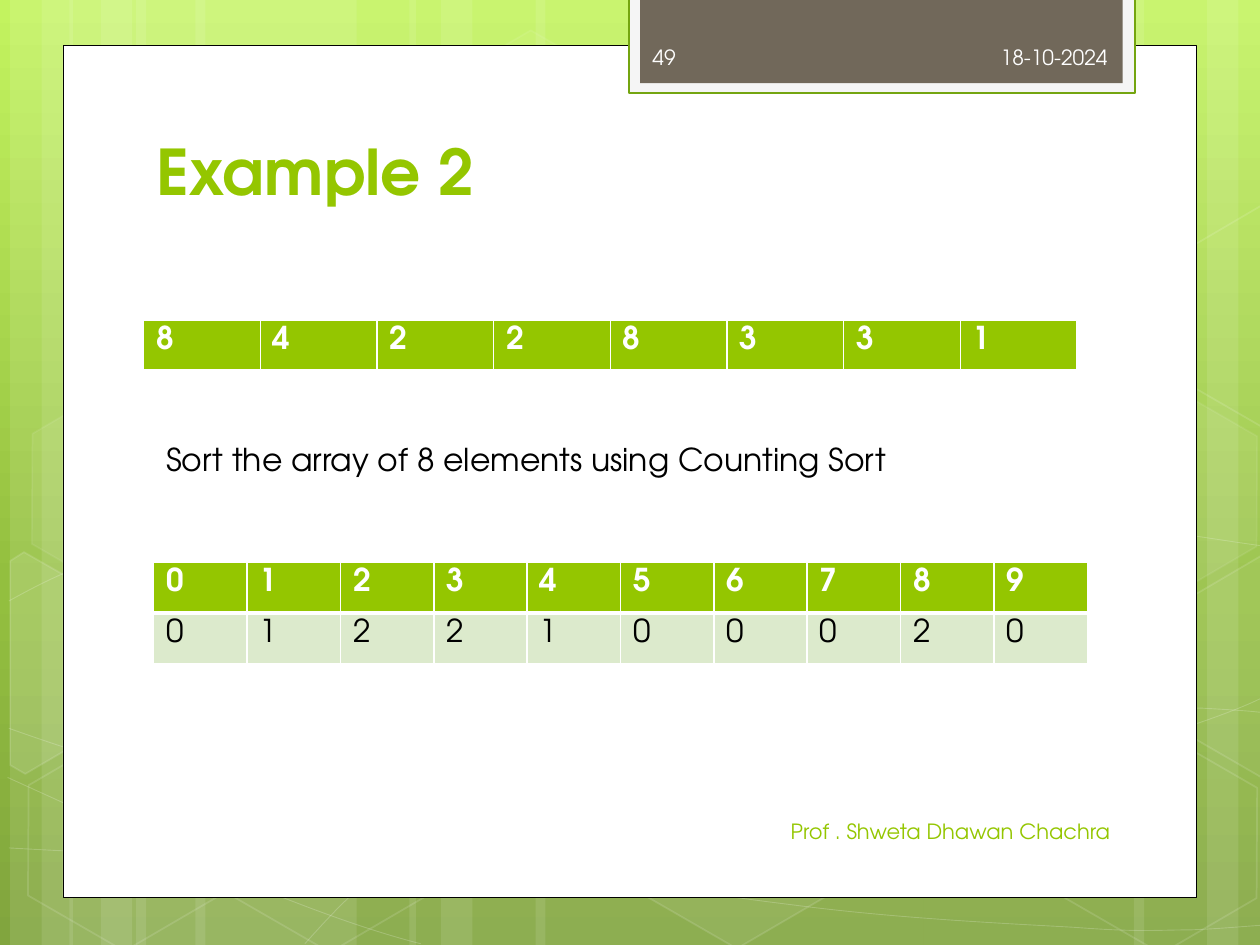
from copy import deepcopy
from dataclasses import dataclass
from math import cos, radians, sin
from typing import NamedTuple, Optional

from lxml.etree import SubElement
from pptx import Presentation
from pptx.dml.color import RGBColor
from pptx.enum.shapes import MSO_SHAPE
from pptx.enum.text import MSO_ANCHOR, MSO_AUTO_SIZE, PP_ALIGN
from pptx.oxml.ns import qn
from pptx.util import Inches, Pt


@dataclass(frozen=True)
class Theme:
    font: str = "TeX Gyre Adventor"
    green: str = "94C600"
    edge_green: str = "74A510"
    pale_green: str = "DCEACC"
    white: str = "FFFFFF"
    tab_text: str = "FEFEFE"
    black: str = "000000"
    tab_frame: str = "F5F5F5"
    tab_fill: str = "71685A"
    gradient: tuple = ((0, "C3F35F"), (0.62, "93BF3F"), (1, "81A53E"))
    title_size: int = 36
    body_size: int = 18
    small_size: int = 12


class Box(NamedTuple):
    left: float
    top: float
    width: float
    height: float

    def lengths(self):
        return [Inches(value) for value in self]


class Paint(NamedTuple):
    color: str
    alpha: int = 100
    width: float = 0


class Hexagon(NamedTuple):
    left: float
    top: float
    fill_alpha: int
    line_alpha: int


class CutHexagon(NamedTuple):
    center: tuple
    points: list
    fill_alpha: int


class Label(NamedTuple):
    text: str
    box: Box
    size: int
    color: str
    align: PP_ALIGN = PP_ALIGN.LEFT
    anchor: MSO_ANCHOR = MSO_ANCHOR.MIDDLE
    auto_size: MSO_AUTO_SIZE = MSO_AUTO_SIZE.NONE


THEME = Theme()
TILT = 30  # degrees that every hexagon is turned

# Left edge and width of the full-height stripes
STRIPES = [(1.08, 1.75), (0.08, 0.5), (0.33, 0.83), (1.55, 1.75), (0.55, 0.5), (0.8, 0.83),
           (7.33, 1.75), (9.58, 0.5), (9, 0.83), (4.25, 3.08), (3.25, 0.5), (3.5, 0.83)]

# Each wave is a start point, then control, control and end for every curve;
# two equal controls stand for a straight stretch
WAVES = [
    [(0.07, 6.73), (0.61, 6.76), (1.15, 6.79), (1.9, 6.78), (2.65, 6.77), (3.58, 6.75), (4.58, 6.65),
     (5.58, 6.55), (7, 6.36), (7.92, 6.17), (8.83, 5.98), (9.77, 5.68), (10.07, 5.51)],
    [(0.07, 4.77), (0.36, 4.61), (0.65, 4.46), (1.21, 4.31), (1.78, 4.16), (2.59, 3.94), (3.47, 3.87),
     (4.36, 3.8), (5.44, 3.79), (6.54, 3.87), (7.64, 3.95), (9.47, 4.26), (10.07, 4.34)],
    [(0.06, 6.17), (1.27, 6.72), (2.47, 7.27), (3.34, 7.49)],
    [(0.07, 5.78), (0.38, 5.89), (0.7, 6), (1.28, 6.16), (1.86, 6.31), (2.73, 6.56), (3.57, 6.73),
     (4.4, 6.9), (5.45, 7.08), (6.28, 7.18), (7.11, 7.29), (8, 7.33), (8.53, 7.36),
     (9.05, 7.4), (9.19, 7.38), (9.45, 7.38), (9.71, 7.37), (9.89, 7.35), (10.07, 7.34)],
    [(2.42, 7.49), (2.6, 7.29), (2.78, 7.09), (3.02, 6.91), (3.26, 6.73), (3.6, 6.53), (3.88, 6.39),
     (4.16, 6.25), (4.33, 6.19), (4.7, 6.09), (5.06, 5.99), (5.73, 5.85), (6.08, 5.78),
     (6.44, 5.71), (6.49, 5.71), (6.8, 5.69), (7.11, 5.66), (7.6, 5.63), (7.94, 5.62),
     (8.29, 5.61), (8.86, 5.62), (8.86, 5.62), (9.53, 5.62), (9.53, 5.62), (9.53, 5.62),
     (9.71, 5.63), (9.88, 5.64), (9.97, 5.65), (10.06, 5.66), (10.03, 5.65), (10.06, 5.66)],
]

HEXAGONS = [Hexagon(3.34, 0.36, 4, 8), Hexagon(4.97, 5.89, 6, 12), Hexagon(0.11, 5.91, 0, 12),
            Hexagon(0.14, 3.12, 7, 8), Hexagon(1.74, 5.92, 0, 12), Hexagon(7.53, 4.53, 10, 12),
            Hexagon(8.34, 5.93, 0, 12), Hexagon(8.34, 3.14, 7, 8)]

# Hexagons cut off at the slide edges, with corners as they lie after the turn
CUT_HEXAGONS = [
    CutHexagon((0.36, 5.35), [(0.08, 4.45), (0.19, 4.38), (0.96, 4.82), (0.95, 5.7),
                              (0.2, 6.14), (0.08, 6.07)], 10),
    CutHexagon((9.85, 5.2), [(9.26, 4.85), (10.01, 4.41), (10.09, 4.46), (10.09, 6.13),
                             (10.02, 6.17), (9.26, 5.73)], 4),
    CutHexagon((9.85, 2.41), [(9.26, 2.07), (10.01, 1.63), (10.1, 1.68), (10.09, 3.35),
                              (10.02, 3.39), (9.26, 2.95)], 0),
]

LABELS = [
    Label("Sort the array of 8 elements using Counting Sort", Box(1.22, 3.44, 7.24, 0.4), THEME.body_size,
          THEME.black, anchor=MSO_ANCHOR.TOP, auto_size=MSO_AUTO_SIZE.SHAPE_TO_FIT_TEXT),
    Label("18-10-2024", Box(6.56, 0.25, 2.33, 0.4), THEME.small_size, THEME.tab_text, PP_ALIGN.RIGHT),
    Label("Prof . Shweta Dhawan Chachra", Box(5.08, 6.4, 3.83, 0.4),
          THEME.small_size, THEME.green, PP_ALIGN.RIGHT),
    Label("49", Box(5.08, 0.25, 1.46, 0.4), THEME.small_size, THEME.tab_text),
]


def apply_paint(fill, paint: Optional[Paint]) -> None:
    """Fill with a colour and its opacity, or with nothing."""
    if paint is None or paint.alpha == 0:
        fill.background()
        return
    fill.solid()
    fill.fore_color.rgb = RGBColor.from_string(paint.color)
    if paint.alpha < 100:
        color = fill._xPr.find(qn("a:solidFill"))[0]
        SubElement(color, qn("a:alpha"), val=str(paint.alpha * 1000))


def style_shape(shape, fill: Optional[Paint], line: Optional[Paint] = None) -> None:
    shape.shadow.inherit = False
    apply_paint(shape.fill, fill)
    apply_paint(shape.line.fill, line)
    if line:
        shape.line.width = Pt(line.width)


def draw_box(slide, box: Box, fill: Paint, line: Optional[Paint] = None) -> None:
    style_shape(slide.shapes.add_shape(MSO_SHAPE.RECTANGLE, *box.lengths()), fill, line)


def add_outline(slide, points: list, close: bool):
    start, *others = [(Inches(x), Inches(y)) for x, y in points]
    builder = slide.shapes.build_freeform(*start)
    builder.add_line_segments(others, close=close)
    return builder.convert_to_shape()


def draw_wave(slide, points: list) -> None:
    """Join each three lines of the outline into one cubic curve."""
    shape = add_outline(slide, points, close=False)
    geometry = shape._element.find(".//" + qn("a:path"))
    lines = geometry.findall(qn("a:lnTo"))
    for first in range(0, len(lines), 3):
        straight = points[first + 1] == points[first + 2]
        segment = SubElement(geometry, qn("a:lnTo" if straight else "a:cubicBezTo"))
        for index, line in enumerate(lines[first:first + 3]):
            if index == 2 or not straight:
                segment.append(line[0])
            geometry.remove(line)
    style_shape(shape, None, Paint(THEME.white, 20, 0.5))


def draw_cut_hexagon(slide, hexagon: CutHexagon) -> None:
    """Turn the corners back around the centre, then rotate the shape."""
    center_x, center_y = hexagon.center
    cosine, sine = cos(radians(TILT)), sin(radians(TILT))
    offsets = [(x - center_x, y - center_y) for x, y in hexagon.points]
    upright = [(center_x + x * cosine + y * sine, center_y - x * sine + y * cosine) for x, y in offsets]
    shape = add_outline(slide, upright, close=True)
    shape.rotation = TILT
    style_shape(shape, Paint(THEME.white, hexagon.fill_alpha), Paint(THEME.white, 12, 1))


def write_text(frame, text: str, size: int, color: str, bold: bool = False,
               align: PP_ALIGN = PP_ALIGN.LEFT) -> None:
    paragraph = frame.paragraphs[0]
    paragraph.text = text
    paragraph.alignment = align
    font = paragraph.runs[0].font
    for name, value in {"name": THEME.font, "size": Pt(size), "bold": bold}.items():
        setattr(font, name, value)
    font.color.rgb = RGBColor.from_string(color)


def draw_label(slide, label: Label) -> None:
    frame = slide.shapes.add_textbox(*label.box.lengths()).text_frame
    formats = {"word_wrap": True, "vertical_anchor": label.anchor, "auto_size": label.auto_size}
    for name, value in formats.items():
        setattr(frame, name, value)
    write_text(frame, label.text, label.size, label.color, align=label.align)


def draw_table(slide, box: Box, rows: list) -> None:
    """A table whose first row is a green header."""
    table = slide.shapes.add_table(len(rows), len(rows[0]), *box.lengths()).table
    table.horz_banding = False
    for row_index, row in enumerate(rows):
        header = row_index == 0
        for column_index, value in enumerate(row):
            cell = table.cell(row_index, column_index)
            widths = {"a:lnL": 1, "a:lnR": 1, "a:lnT": 1 if header else 3, "a:lnB": 3 if header else 1}
            for tag, width in widths.items():
                border = SubElement(cell._tc.get_or_add_tcPr(), qn(tag), w=str(Pt(width)))
                SubElement(SubElement(border, qn("a:solidFill")), qn("a:srgbClr"), val=THEME.white)
            apply_paint(cell.fill, Paint(THEME.green if header else THEME.pale_green))
            write_text(cell.text_frame, str(value), THEME.body_size,
                       THEME.white if header else THEME.black, bold=header)


def draw_background(slide) -> None:
    fill = slide.background.fill
    fill.gradient()
    fill.gradient_angle = 270
    stops = slide._element.find(".//" + qn("a:gsLst"))
    stops.append(deepcopy(stops[-1]))
    for stop, (position, color) in zip(fill.gradient_stops, THEME.gradient):
        stop.position = position
        stop.color.rgb = RGBColor.from_string(color)

    for left, width in STRIPES:
        draw_box(slide, Box(left, 0, width, 7.5), Paint(THEME.white, 10))
    for wave in WAVES:
        draw_wave(slide, wave)
    for hexagon in HEXAGONS:
        box = Box(hexagon.left, hexagon.top, 1.75, 1.52)
        shape = slide.shapes.add_shape(MSO_SHAPE.HEXAGON, *box.lengths())
        shape.rotation = TILT
        shape.adjustments[0] = 0.285
        style_shape(shape, Paint(THEME.white, hexagon.fill_alpha), Paint(THEME.white, hexagon.line_alpha, 1))
    for hexagon in CUT_HEXAGONS:
        draw_cut_hexagon(slide, hexagon)


def draw_title(slide, text: str, box: Box) -> None:
    title = slide.shapes.title
    slide.shapes._spTree.append(title._element)  # bring in front of the panel
    for name, value in zip(("left", "top", "width", "height"), box.lengths()):
        setattr(title, name, value)
    frame = title.text_frame
    for name, value in {"auto_size": MSO_AUTO_SIZE.NONE, "vertical_anchor": MSO_ANCHOR.BOTTOM}.items():
        setattr(frame, name, value)
    write_text(frame, text, THEME.title_size, THEME.green, bold=True)


def main() -> None:
    presentation = Presentation()
    presentation.slide_width, presentation.slide_height = Inches(10), Inches(7.5)
    slide = presentation.slides.add_slide(presentation.slide_layouts[5])
    draw_background(slide)

    # White panel and the tab at its top
    draw_box(slide, Box(0.5, 0.36, 9, 6.76), Paint(THEME.white), Paint(THEME.black, width=0.5))
    draw_box(slide, Box(4.99, -0.02, 4.02, 0.76), Paint(THEME.tab_frame), Paint(THEME.edge_green, width=1.25))
    draw_box(slide, Box(5.08, -0.02, 3.83, 0.68), Paint(THEME.tab_fill))

    # Title, input array and count table
    draw_title(slide, "Example 2", Box(1.14, 1.12, 7.68, 0.58))
    numbers = [8, 4, 2, 2, 8, 3, 3, 1]
    draw_table(slide, Box(1.14, 2.54, 7.41, 0.41), [numbers])
    digits = range(10)
    counts = [numbers.count(digit) for digit in digits]
    draw_table(slide, Box(1.22, 4.46, 7.41, 0.81), [digits, counts])
    for label in LABELS:
        draw_label(slide, label)
    presentation.save("out.pptx")


if __name__ == "__main__":
    main()
